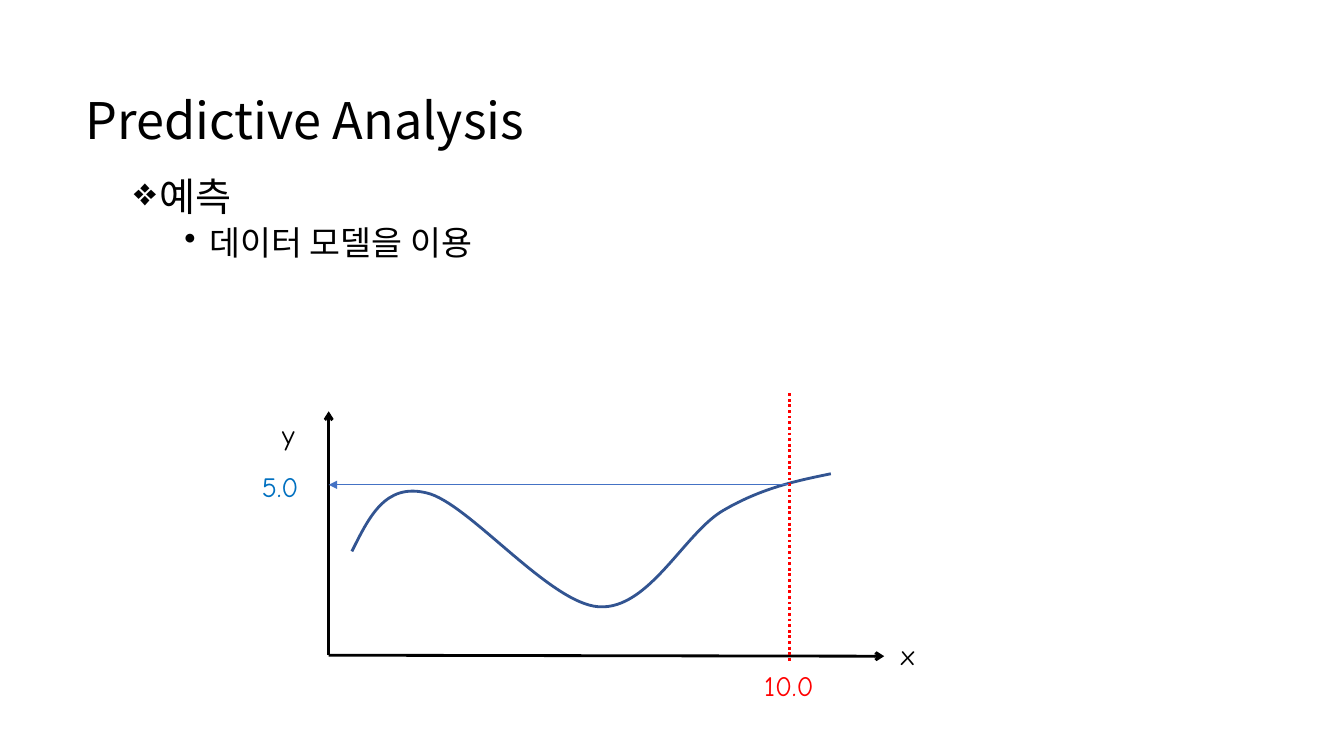
from lxml import etree
from pptx import Presentation
from pptx.dml.color import RGBColor
from pptx.enum.dml import MSO_LINE_DASH_STYLE as Dash
from pptx.enum.shapes import MSO_CONNECTOR as Connector
from pptx.enum.text import MSO_AUTO_SIZE as AutoSize
from pptx.oxml.ns import qn
from pptx.util import Inches, Pt

COLORS = {"text": "000000", "curve": "325491", "input": "FF0000",
          "arrow": "4472C4", "output": "0070C0"}
BODY_FONT, LABEL_FONT = "Noto Sans CJK KR", "Comic Neue"


def color(name):
    return RGBColor.from_string(COLORS[name])


def add_text(paragraph, text, size, font=BODY_FONT, fill="text"):
    run = paragraph.add_run()
    run.text = text
    run.font.size = Pt(size)
    run.font.color.rgb = color(fill)
    run.font.name = font
    etree.SubElement(run.font._element, qn("a:ea"), typeface=font)


def add_frame(shapes, left, top, width, height, wrap=True, grow=True):
    box = shapes.add_textbox(*map(Inches, (left, top, width, height)))
    frame = box.text_frame
    frame.word_wrap = wrap
    frame.auto_size = AutoSize.SHAPE_TO_FIT_TEXT if grow else AutoSize.NONE
    return frame


def add_line(shapes, start, end, fill="text", width=2, dash=None, **ends):
    line = shapes.add_connector(Connector.STRAIGHT, *map(Inches, (*start, *end)))
    line.line.color.rgb = color(fill)
    line.line.width = Pt(width)
    if dash:
        line.line.dash_style = dash
    outline = line.line._get_or_add_ln()
    for end_tag, arrow in ends.items():
        etree.SubElement(outline, qn(f"a:{end_tag}"), type=arrow)
    etree.SubElement(line._element.spPr, qn("a:effectLst"))


def add_curve(shapes, points):
    """Smooth curve: a start point, then three Bézier points per segment."""
    start, *controls = [(Inches(x), Inches(y)) for x, y in points]
    builder = shapes.build_freeform(*start)
    builder.add_line_segments(controls, close=False)
    curve = builder.convert_to_shape()
    curve.shadow.inherit = False
    curve.fill.background()
    curve.line.color.rgb = color("curve")
    curve.line.width = Pt(2)

    # Join each three straight steps into one cubic segment
    steps = list(curve._element.iter(qn("a:lnTo")))
    outline = steps[0].getparent()
    for i in range(0, len(steps), 3):
        cubic = etree.SubElement(outline, qn("a:cubicBezTo"))
        for step in steps[i:i + 3]:
            cubic.append(step[0])
            outline.remove(step)


def add_title(shapes, left, top, width, height):
    frame = add_frame(shapes, left, top, width, height)
    add_text(frame.paragraphs[0], "Predictive Analysis", 36)


def add_bullets(shapes, left, top, width, height):
    frame = add_frame(shapes, left, top, width, height, grow=False)
    items = [("예측", "❖", 0, 0.25, 28), ("데이터 모델을 이용", "•", 1, 0.75, 24)]
    for i, (text, mark, level, indent, size) in enumerate(items):
        item = frame.add_paragraph() if i else frame.paragraphs[0]
        item.level = level
        item.line_spacing = 0.9
        item.space_before = Pt(5 if i else 0)
        props = item._p.get_or_add_pPr()
        props.set("marL", str(Inches(indent)))
        props.set("indent", str(Inches(-0.25)))
        etree.SubElement(props, qn("a:buChar"), char=mark)
        add_text(item, text, size)


def add_graph(shapes, left, top, width, height):
    input_x, output_y = 4.57, 1.69

    def at(right, up):
        return left + right, top + height - up

    def add_label(parent, text, right, up, label_width, fill="text"):
        frame = add_frame(parent, *at(right, up), label_width, 0.44, wrap=False)
        add_text(frame.paragraphs[0], text, 20, LABEL_FONT, fill)

    # Axes
    add_line(shapes, at(0, 0), at(width, -0.01), tailEnd="arrow")
    add_line(shapes, at(0, 0), at(0, 2.42), tailEnd="arrow")
    add_label(shapes, "x", width + 0.07, 0.22, 0.37)
    add_label(shapes, "y", -0.56, 2.41, 0.35)

    # Model curve
    add_curve(shapes, [at(*point) for point in (
        (0.23, 1.03),
        (0.4, 1.37), (0.56, 1.71), (0.97, 1.61),
        (1.38, 1.52), (2.19, 0.51), (2.68, 0.48),
        (3.18, 0.45), (3.53, 1.22), (3.92, 1.44),
        (4.3, 1.66), (4.64, 1.73), (4.98, 1.8))])

    # Input value
    input_marker = shapes.add_group_shape().shapes
    add_line(input_marker, at(input_x, height), at(input_x, -0.06),
             fill="input", dash=Dash.ROUND_DOT)
    add_label(input_marker, "10.0", input_x - 0.35, -0.08, 0.74, "input")

    # Predicted value
    add_line(shapes, at(0, output_y), at(input_x, output_y),
             fill="arrow", width=0.5, headEnd="triangle")
    add_label(shapes, "5.0", -0.76, output_y + 0.2, 0.62, "output")


def main():
    deck = Presentation()
    deck.slide_width, deck.slide_height = Inches(13.33), Inches(7.5)
    shapes = deck.slides.add_slide(deck.slide_layouts[6]).shapes
    add_bullets(shapes, 1.23, 1.71, 9, 5.4)
    add_title(shapes, 0.75, 0.83, 7.43, 0.71)
    add_graph(shapes, 3.26, 3.9, 5.51, 2.6)
    deck.save("out.pptx")


if __name__ == "__main__":
    main()
